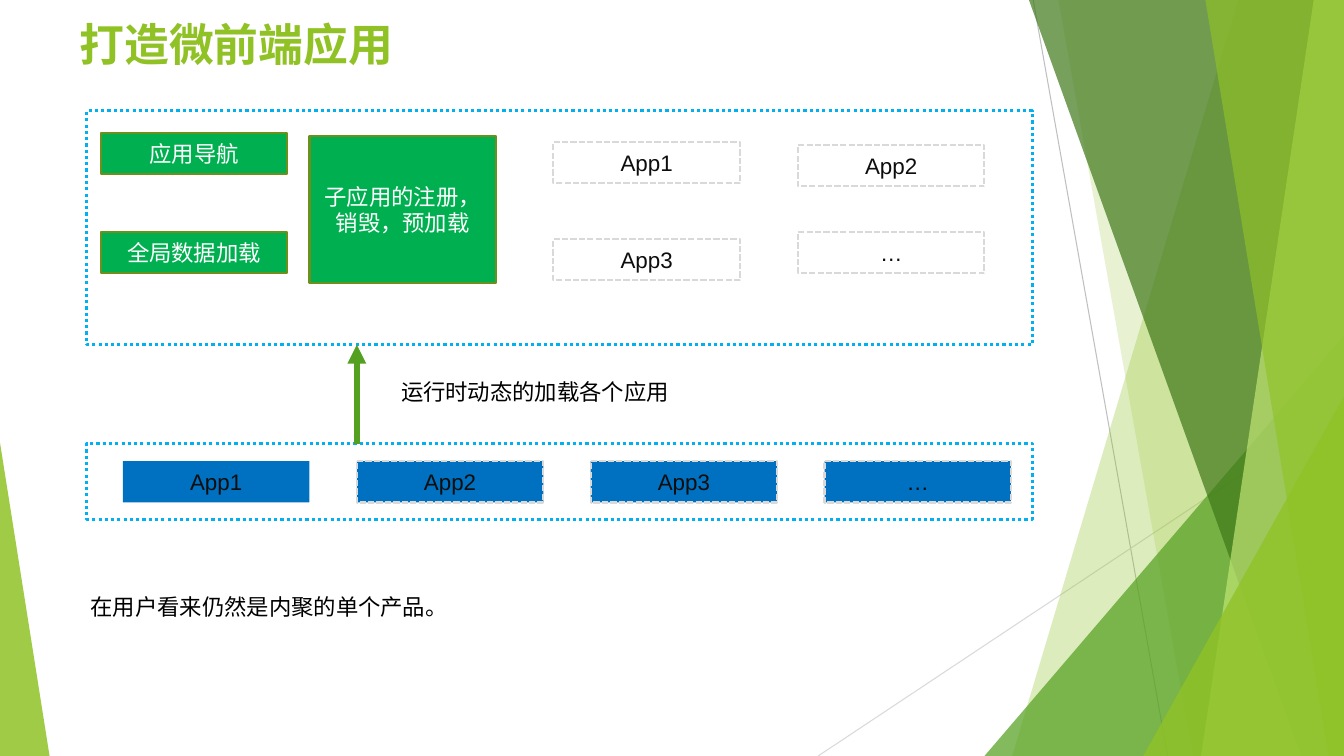
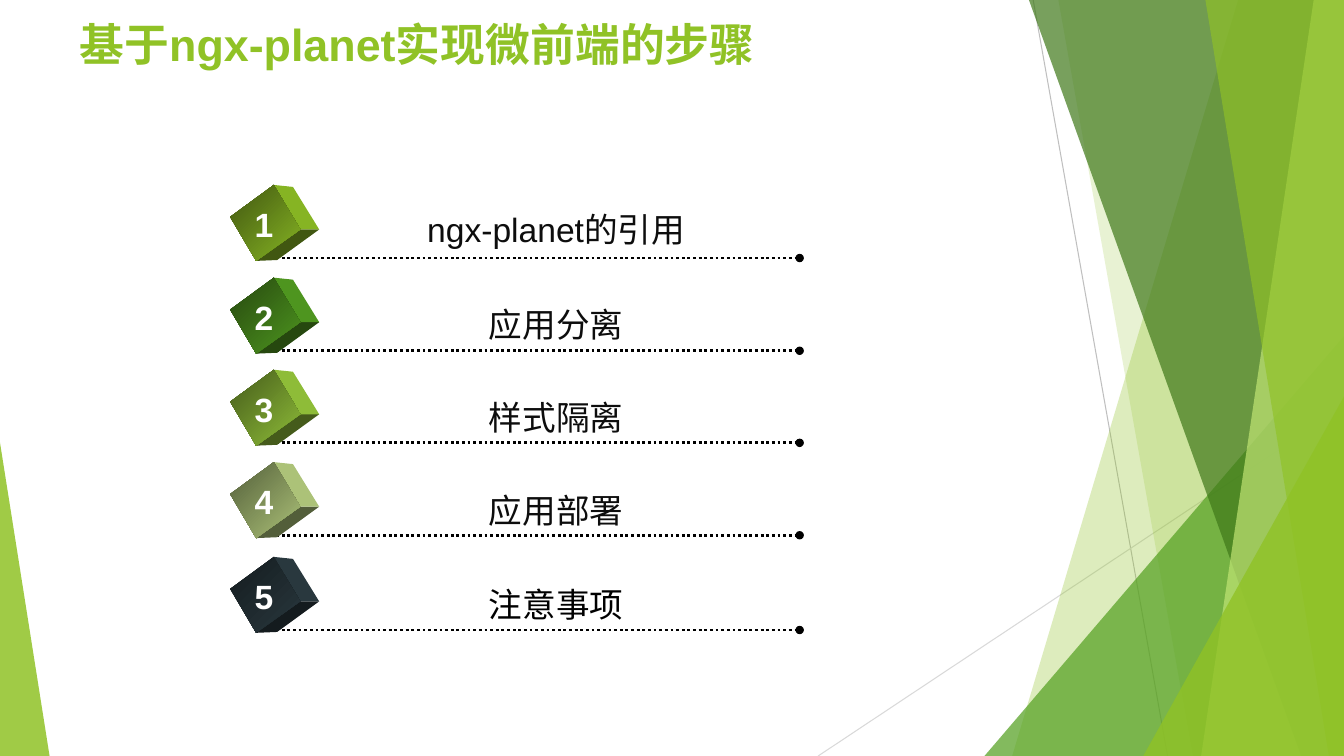
import pptx
import pptx.dml.color
import pptx.enum.dml
import pptx.enum.shapes
import pptx.enum.text
import pptx.oxml.ns
import pptx.util
from lxml import etree

# The slide is a grid of square cells; all places and sizes are in cells.
COLUMNS, ROWS = 80, 45
CELL = pptx.util.Inches(7.5) / ROWS

FONT = "Arial"
LIME, GREEN, DARK_GREEN, PALE_LIME = "90C226", "54A021", "3F7819", "C0E474"
BOX_GREEN, BOX_EDGE, BOX_BLUE, FRAME_BLUE = "00B050", "6B901C", "0070C0", "00B0F0"
WHITE, INK, BLACK, GREY, MID_GREY = "FFFFFF", "0D0D0D", "000000", "D9D9D9", "BFBFBF"

DASH = pptx.enum.dml.MSO_LINE
SHAPE = pptx.enum.shapes.MSO_SHAPE
ALIGN = pptx.enum.text.PP_ALIGN
ANCHOR = pptx.enum.text.MSO_ANCHOR
qn = pptx.oxml.ns.qn

GREEN_EDGE = (BOX_EDGE, 1.5, None)
GREY_EDGE = (GREY, 1.5, DASH.SQUARE_DOT)
FRAME_EDGE = (FRAME_BLUE, 2.25, DASH.ROUND_DOT)
BOX_WIDTH, BOX_HEIGHT = 11.1, 2.46


def cells(*counts):
    return [pptx.util.Emu(round(count * CELL)) for count in counts]


def colour(value):
    return pptx.dml.color.RGBColor.from_string(value)


def shade(value, share):
    """Darken a hex colour to a share of its brightness."""
    return "".join(f"{round(int(value[i:i + 2], 16) * share):02X}" for i in (0, 2, 4))


def set_line(line, edge):
    if edge is None:
        line.fill.background()
        return
    value, width, dash = edge
    line.color.rgb = colour(value)
    line.width = pptx.util.Pt(width)
    if dash is not None:
        line.dash_style = dash


def paint(shape, fill=None, edge=None, opacity=100):
    shape.shadow.inherit = False
    set_line(shape.line, edge)
    if fill is None:
        shape.fill.background()
        return
    shape.fill.solid()
    shape.fill.fore_color.rgb = colour(fill)
    if opacity < 100:
        tint = shape._element.spPr.find(qn("a:solidFill"))[0]
        etree.SubElement(tint, qn("a:alpha")).set("val", str(opacity * 1000))


def write(shape, text, size, ink, bold=False, align=ALIGN.CENTER,
          anchor=ANCHOR.MIDDLE, wrap=True):
    frame = shape.text_frame
    frame.word_wrap = wrap
    frame.vertical_anchor = anchor
    para = frame.paragraphs[0]
    para.alignment = align
    span = para.add_run()
    span.text = text
    span.font.name = FONT
    span.font.size = pptx.util.Pt(size)
    span.font.bold = bold
    span.font.color.rgb = colour(ink)


def add_text(page, area, text, size, ink, **style):
    style = {"align": ALIGN.LEFT, "anchor": ANCHOR.TOP, **style}
    write(page.shapes.add_textbox(*cells(*area)), text, size, ink, **style)


def add_box(page, area, text="", fill=None, edge=None, ink=INK):
    box = page.shapes.add_shape(SHAPE.RECTANGLE, *cells(*area))
    paint(box, fill, edge)
    if text:
        write(box, text, 16, ink)


def add_line(page, start, end, edge, tail=None):
    line = page.shapes.add_connector(
        pptx.enum.shapes.MSO_CONNECTOR.STRAIGHT, *cells(*start, *end))
    set_line(line.line, edge)
    properties = line._element.spPr
    if tail:
        etree.SubElement(properties.find(qn("a:ln")), qn("a:tailEnd")).set("type", tail)
    etree.SubElement(properties, qn("a:effectLst"))


def add_polygon(page, points, fill, opacity=100):
    corners = [cells(*point) for point in points]
    builder = page.shapes.build_freeform(*corners[0])
    builder.add_line_segments(corners[1:], close=True)
    polygon = builder.convert_to_shape()
    paint(polygon, fill, opacity=opacity)
    return polygon


def add_triangle(page, area, apex, fill, opacity):
    triangle = page.shapes.add_shape(SHAPE.ISOSCELES_TRIANGLE, *cells(*area))
    triangle.adjustments[0] = apex
    paint(triangle, fill, opacity=opacity)


def add_band(page, top, bottom, fill, opacity):
    """Fill from a slanting edge to the right side of the slide."""
    points = [(top, 0), (COLUMNS, 0), (COLUMNS, ROWS), (bottom, ROWS)]
    add_polygon(page, points, fill, opacity)


def add_page(deck, title):
    """Add a slide with the shared ribbons and title."""
    page = deck.slides.add_slide(deck.slide_layouts[6])
    add_line(page, (61.5, 0), (69.5, ROWS), (MID_GREY, 0.75, None))
    add_line(page, (COLUMNS, 24.2), (48.7, ROWS), (GREY, 0.75, None))
    add_band(page, 73.7, 60.25, LIME, 30)
    add_band(page, 63, 71, LIME, 20)
    add_triangle(page, (58.6, 20, 21.4, 25), 1, GREEN, 72)
    add_band(page, 61.25, 77.45, DARK_GREEN, 70)
    add_band(page, 78.2, 71.5, PALE_LIME, 70)
    add_band(page, 71.75, 79.1, LIME, 65)
    add_triangle(page, (68.05, 23.6, 11.95, 21.4), 1, LIME, 80)
    add_triangle(page, (0, 26.35, 2.95, 18.65), 0, LIME, 85)
    add_text(page, (4.14, 0, 56.7, 5.2), title, 32, LIME, bold=True, anchor=ANCHOR.MIDDLE)
    return page


def add_cube(page, base, fill):
    """Draw a tilted cube whose lowest corner is just under the row base."""
    def corner(x, rise):
        return x, base - rise

    left, top = corner(13.7, 2.45), corner(16.3, 4.35)
    middle, bottom = corner(17.88, 1.7), corner(15.25, -0.17)
    back_top, back_right = corner(17.44, 4.23), corner(19, 1.7)
    back_bottom = corner(16.5, -0.12)
    add_polygon(page, [bottom, middle, back_right, back_bottom], shade(fill, 0.45))
    add_polygon(page, [top, back_top, back_right, middle], shade(fill, 0.93))
    front = add_polygon(page, [left, top, middle, bottom], fill)
    front.fill.gradient()
    front.fill.gradient_angle = 315
    for stop, share in zip(front.fill.gradient_stops, (0.45, 0.93)):
        stop.color.rgb = colour(shade(fill, share))


def add_step(page, number, text, base, label_top, fill, ink=INK):
    add_line(page, (16.1, base), (47.6, base), (BLACK, 2, DASH.ROUND_DOT), "oval")
    add_cube(page, base, fill)
    add_text(page, (14.52, base - 3.5, 2.4, 3), str(number), 24, WHITE,
             bold=True, align=ALIGN.CENTER, wrap=False)
    add_text(page, (23.1, label_top, 20, 3), text, 24, ink, align=ALIGN.CENTER)


def build_architecture(deck):
    page = add_page(deck, "打造微前端应用")
    frame_left, frame_width = 5.16, 56.28
    host_top, host_height, apps_top = 6.6, 13.92, 26.4

    add_box(page, (frame_left, host_top, frame_width, host_height), edge=FRAME_EDGE)
    for text, left, top, height in (
            ("应用导航", 6, 7.9, BOX_HEIGHT),
            ("全局数据加载", 6, 13.8, BOX_HEIGHT),
            ("子应用的注册，销毁，预加载", 18.42, 8.1, 8.76)):
        add_box(page, (left, top, BOX_WIDTH, height), text, BOX_GREEN, GREEN_EDGE, WHITE)
    for text, left, top in (("App1", 32.94, 8.46), ("App3", 32.94, 14.22),
                            ("App2", 47.5, 8.64), ("…", 47.5, 13.8)):
        add_box(page, (left, top, BOX_WIDTH, BOX_HEIGHT), text, edge=GREY_EDGE)

    add_box(page, (frame_left, apps_top, frame_width, 4.5), edge=FRAME_EDGE)
    add_line(page, (21.24, apps_top), (21.24, host_top + host_height),
             (GREEN, 4.5, None), "triangle")
    add_text(page, (23.28, 22.2, 20.8, 2.2), "运行时动态的加载各个应用", 16, BLACK)
    for index, text in enumerate(("App1", "App2", "App3", "…")):
        area = (7.32 + 13.92 * index, 27.45, BOX_WIDTH, BOX_HEIGHT)
        add_box(page, area, text, BOX_BLUE, GREY_EDGE if index else None)
    add_text(page, (4.8, 35, 56.6, 2.2), "在用户看来仍然是内聚的单个产品。", 16, BLACK)


def build_steps(deck):
    page = add_page(deck, "基于ngx-planet实现微前端的步骤")
    steps = (
        ("ngx-planet的引用", 15.36, 12.12, LIME, INK),
        ("应用分离", 20.88, 17.82, GREEN, INK),
        ("样式隔离", 26.36, 23.34, "99CA3C", INK),
        ("应用部署", 31.86, 28.86, "B9D181", INK),
        ("注意事项", 37.5, 34.44, "2C3C43", BLACK),
    )
    for number, step in enumerate(steps, 1):
        add_step(page, number, *step)


def main():
    deck = pptx.Presentation()
    deck.slide_width, deck.slide_height = cells(COLUMNS, ROWS)
    build_architecture(deck)
    build_steps(deck)
    deck.save("out.pptx")


if __name__ == "__main__":
    main()
